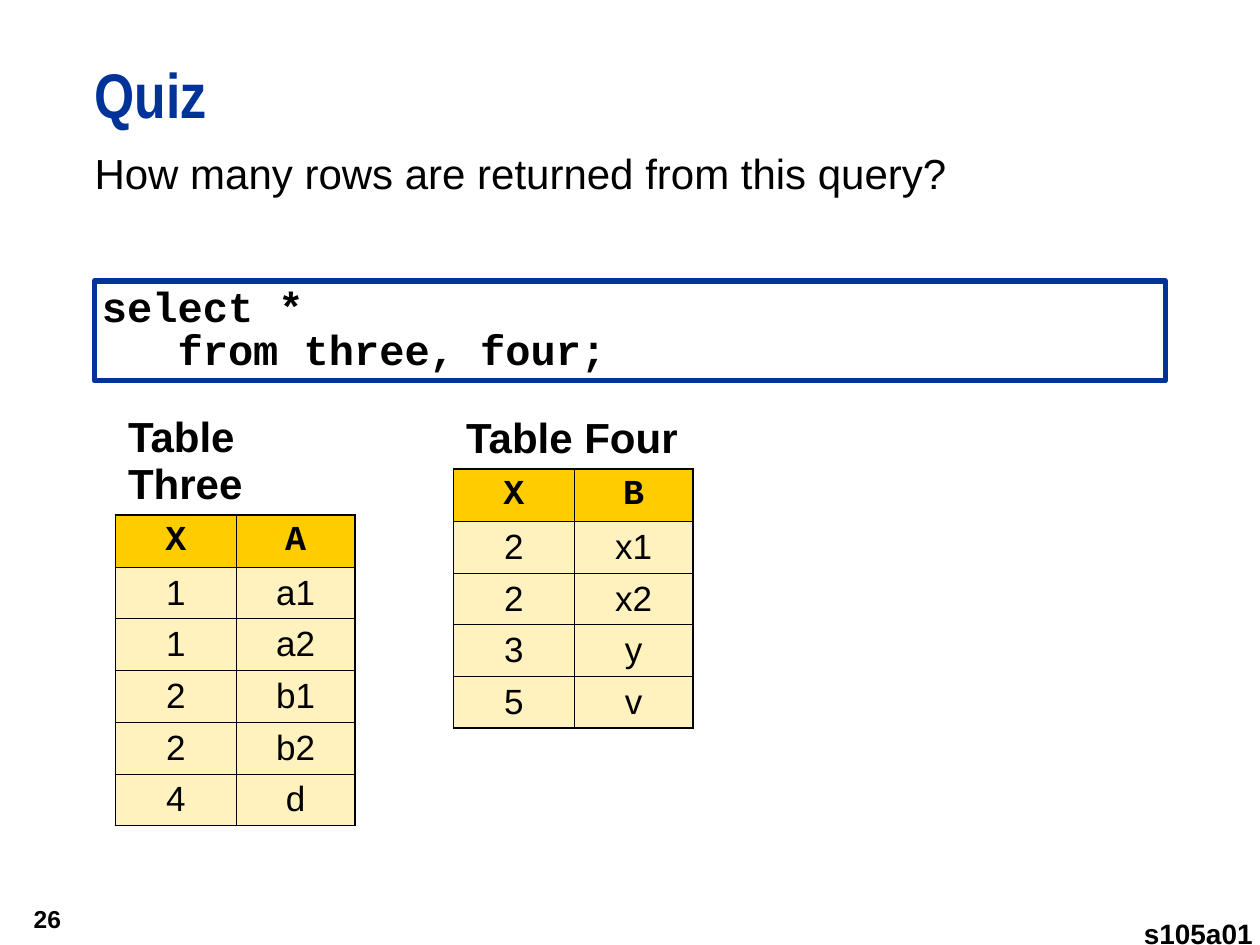
from lxml.etree import SubElement
from pptx import Presentation
from pptx.dml.color import RGBColor
from pptx.enum.shapes import MSO_SHAPE
from pptx.enum.text import MSO_ANCHOR, MSO_AUTO_SIZE, PP_ALIGN
from pptx.oxml.ns import qn
from pptx.util import Inches, Pt

COLORS = {"ink": "000000", "blue": "003399", "paper": "FFFFFF",
          "head": "FFCC00", "cell": "FFF2BE"}
PLAIN = "{2D5ABB26-0587-4C30-8999-92F81FD0307C}"

deck = Presentation()
deck.slide_width, deck.slide_height = Inches(10), Inches(7.5)
UNIT = deck.slide_width / 120  # square grid, 120 columns by 90 rows
slide = deck.slides.add_slide(deck.slide_layouts[1])
shapes = slide.shapes


def grid(*cells):
    return [round(c * UNIT) for c in cells]


def write(frame, text, size, font="Arial", color="ink", bold=True,
          align=PP_ALIGN.LEFT, line=1.0, inset=0, wrap=True,
          anchor=MSO_ANCHOR.TOP):
    """Fill a text frame with one formatted paragraph."""
    form = {"word_wrap": wrap, "auto_size": MSO_AUTO_SIZE.NONE,
            "vertical_anchor": anchor}
    for side in ("left", "top", "right", "bottom"):
        form["margin_" + side] = Inches(inset)
    for name, value in form.items():
        setattr(frame, name, value)
    para = frame.paragraphs[0]
    para.text = text
    for name, value in {"alignment": align, "line_spacing": line,
                        "space_before": Pt(0)}.items():
        setattr(para, name, value)
    for run in para.runs:
        for name, value in {"name": font, "size": Pt(size),
                            "bold": bold}.items():
            setattr(run.font, name, value)
        run.font.color.rgb = RGBColor.from_string(COLORS[color])
    return para


# Title and question
title, body = shapes.title, slide.placeholders[1]
for holder, box in ((title, (9, 6, 111, 9)), (body, (9, 14, 103, 56))):
    holder.left, holder.top, holder.width, holder.height = grid(*box)
write(title.text_frame, "Quiz", 36, "Arial Narrow", "blue", line=Pt(39))
ask = write(body.text_frame, "How many rows are returned from this query?",
            24, bold=False)
props = ask._p.get_or_add_pPr()
props.set("marL", "0")
props.set("indent", "0")
SubElement(props, qn("a:buNone"))

# Page number and slide code
page = shapes.add_textbox(*grid(0, 85, 7, 5))
write(page.text_frame, "26", 14, align=PP_ALIGN.RIGHT, inset=0.1,
      wrap=False, anchor=MSO_ANCHOR.MIDDLE)
code = shapes.add_textbox(*grid(109, 87.25, 10.3, 3.25))
write(code.text_frame, "s105a01", 16, align=PP_ALIGN.RIGHT, wrap=False)

# Data tables: a caption row, a header row, then values
TABLES = (
    (11, 38.9, "Table Three", ("X", "A"),
     (("1", "a1"), ("1", "a2"), ("2", "b1"), ("2", "b2"), ("4", "d"))),
    (43.2, 39, "Table Four", ("X", "B"),
     (("2", "x1"), ("2", "x2"), ("3", "y"), ("5", "v"))),
)
for left, top, label, head, data in TABLES:
    rows = ((label, ""), head, *data)
    last = len(rows) - 1
    frame = shapes.add_table(len(rows), 2,
                             *grid(left, top, 22.8, 4.8 + 4 * last))
    table = frame.table
    table.first_row = table.horz_banding = False
    table._tbl.tblPr.find(qn("a:tableStyleId")).text = PLAIN
    for col, wide in zip(table.columns, grid(11.5, 11.3)):
        col.width = wide
    for r, row in enumerate(rows):
        table.rows[r].height = grid(4.8 if r == 0 else 4)[0]
        for c, text in enumerate(row):
            cell = table.cell(r, c)
            # Heavy outer edges, thin inner ones, none round the caption
            edges = {"L": 1.08 if c == 0 else 0.45,
                     "R": 1.08 if c == 1 else 0.45,
                     "T": 1.08 if r == 1 else 0.45,
                     "B": 1.08 if r in (0, last) else 0.45}
            for side, width in edges.items():
                line = SubElement(cell._tc.get_or_add_tcPr(),
                                  qn("a:ln" + side), w=str(Pt(width)))
                if r == 0 and side != "B":
                    SubElement(line, qn("a:noFill"))
                else:
                    fill = SubElement(line, qn("a:solidFill"))
                    SubElement(fill, qn("a:srgbClr"), val=COLORS["ink"])
            cell.vertical_anchor = MSO_ANCHOR.MIDDLE
            cell.margin_left = cell.margin_right = Inches(0.1)
            cell.margin_top = cell.margin_bottom = Inches(0.05)
            if r == 0:
                cell.fill.background()
            else:
                cell.fill.solid()
                tint = COLORS["head" if r == 1 else "cell"]
                cell.fill.fore_color.rgb = RGBColor.from_string(tint)
            if not text:
                continue
            para = cell.text_frame.paragraphs[0]
            para.text = text
            para.alignment = PP_ALIGN.CENTER if r else PP_ALIGN.LEFT
            look = {"name": "Courier New" if r == 1 else "Arial",
                    "size": Pt(20 if r else 24), "bold": r < 2}
            for name, value in look.items():
                setattr(para.runs[0].font, name, value)
            para.runs[0].font.color.rgb = RGBColor.from_string(COLORS["ink"])
    table.cell(0, 0).merge(table.cell(0, 1))

# Query box
query = shapes.add_shape(MSO_SHAPE.RECTANGLE, *grid(9, 26.75, 102, 9.5))
query.shadow.inherit = False
query.fill.solid()
query.fill.fore_color.rgb = RGBColor.from_string(COLORS["paper"])
query.line.color.rgb = RGBColor.from_string(COLORS["blue"])
query.line.width = Pt(3)
write(query.text_frame, "select *\v   from three, four;", 24, "Courier New",
      line=0.85, inset=0.06)

deck.save("out.pptx")
